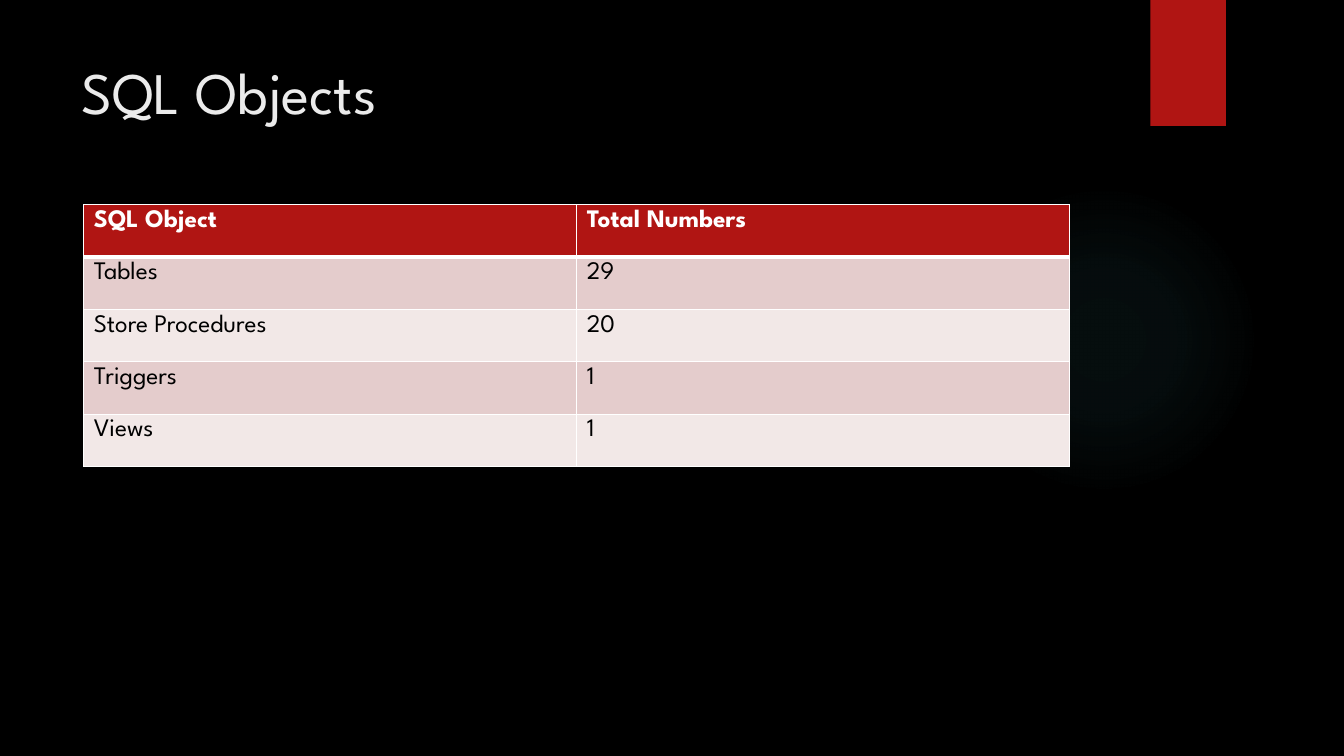
"""Build the SQL Objects slide with its table of object counts."""
from lxml import etree
from pptx import Presentation
from pptx import util as u
from pptx.dml import color as dml
from pptx.enum import shapes, text
from pptx.oxml import ns, parse_xml

COLORS = {
    "background": "000000",
    "accent": "B01513",
    "glow": "50B9C1",
    "title": "EBEBEB",
    "header_text": "FFFFFF",
    "body_text": "000000",
    "border": "FFFFFF",
    "odd_row": "E4CCCC",
    "even_row": "F2E8E7",
}
FONT = "League Spartan"
ROWS = [
    ("SQL Object", "Total Numbers"),
    ("Tables", "29"),
    ("Store Procedures", "20"),
    ("Triggers", "1"),
    ("Views", "1"),
]
GLOW_STOPS = [(0, 7), (36, 6), (69, 0)]


def rgb(name):
    return dml.RGBColor.from_string(COLORS[name])


def write_text(frame, words, size, color, bold=False):
    para = frame.paragraphs[0]
    para.alignment = text.PP_ALIGN.LEFT
    span = para.add_run()
    span.text = words
    span.font.name = FONT
    span.font.size = u.Pt(size)
    span.font.bold = bold
    span.font.color.rgb = rgb(color)


def add_block(page, kind, left, top, width, height, color):
    box = page.shapes.add_shape(
        kind, u.Inches(left), u.Inches(top), u.Inches(width), u.Inches(height))
    box.shadow.inherit = False
    box.line.fill.background()
    box.fill.solid()
    box.fill.fore_color.rgb = rgb(color)
    return box


def fade_from_center(box, color, stops):
    marks = "".join(
        f'<a:gs pos="{place * 1000}"><a:srgbClr val="{COLORS[color]}">'
        f'<a:alpha val="{opacity * 1000}"/></a:srgbClr></a:gs>'
        for place, opacity in stops)
    gradient = parse_xml(
        f'<a:gradFill {ns.nsdecls("a")}><a:gsLst>{marks}</a:gsLst>'
        '<a:path path="circle"><a:fillToRect l="50000" t="50000" r="50000" b="50000"/>'
        '</a:path></a:gradFill>')
    properties = box.element.spPr
    properties.replace(properties.find(ns.qn("a:solidFill")), gradient)


def add_title(page, words):
    title = page.shapes.title
    title.left, title.top = u.Inches(0.71), u.Inches(0.5)
    title.width, title.height = u.Inches(10.29), u.Inches(1.53)
    title.text_frame.vertical_anchor = text.MSO_ANCHOR.TOP
    title.text_frame.auto_size = text.MSO_AUTO_SIZE.NONE
    write_text(title.text_frame, words, 42, "title")


def set_borders(cell, **widths):
    properties = cell._tc.get_or_add_tcPr()
    for side in "LRTB":
        line = etree.SubElement(
            properties, ns.qn(f"a:ln{side}"), w=str(u.Pt(widths.get(side, 1))))
        fill = etree.SubElement(line, ns.qn("a:solidFill"))
        etree.SubElement(fill, ns.qn("a:srgbClr"), val=COLORS["border"])


def format_cell(cell, words, row):
    header = row == 0
    set_borders(cell, B=3 if header else 1, T=3 if row == 1 else 1)
    cell.fill.solid()
    band = "odd_row" if row % 2 else "even_row"
    cell.fill.fore_color.rgb = rgb("accent" if header else band)
    cell.margin_top = cell.margin_bottom = u.Inches(0.05)
    cell.vertical_anchor = text.MSO_ANCHOR.TOP
    write_text(cell.text_frame, words, 18,
               "header_text" if header else "body_text", bold=header)


def add_counts_table(page, rows):
    row_height, column_width = 0.52, 4.89
    table = page.shapes.add_table(
        len(rows), len(rows[0]), u.Inches(0.83), u.Inches(2.03),
        u.Inches(column_width * len(rows[0])),
        u.Inches(row_height * len(rows))).table
    for row, entries in enumerate(rows):
        for column, words in enumerate(entries):
            format_cell(table.cell(row, column), words, row)


def main():
    deck = Presentation()
    deck.slide_width, deck.slide_height = u.Inches(13.33), u.Inches(7.5)
    page = deck.slides.add_slide(deck.slide_layouts[5])
    page.background.fill.solid()
    page.background.fill.fore_color.rgb = rgb("background")

    glow = add_block(page, shapes.MSO_SHAPE.OVAL, 9.41, 1.83, 3.08, 3.08, "glow")
    fade_from_center(glow, "glow", GLOW_STOPS)
    add_block(page, shapes.MSO_SHAPE.RECTANGLE, 11.41, 0, 0.75, 1.25, "accent")
    add_title(page, "SQL Objects")
    add_counts_table(page, ROWS)
    deck.save("out.pptx")


if __name__ == "__main__":
    main()
